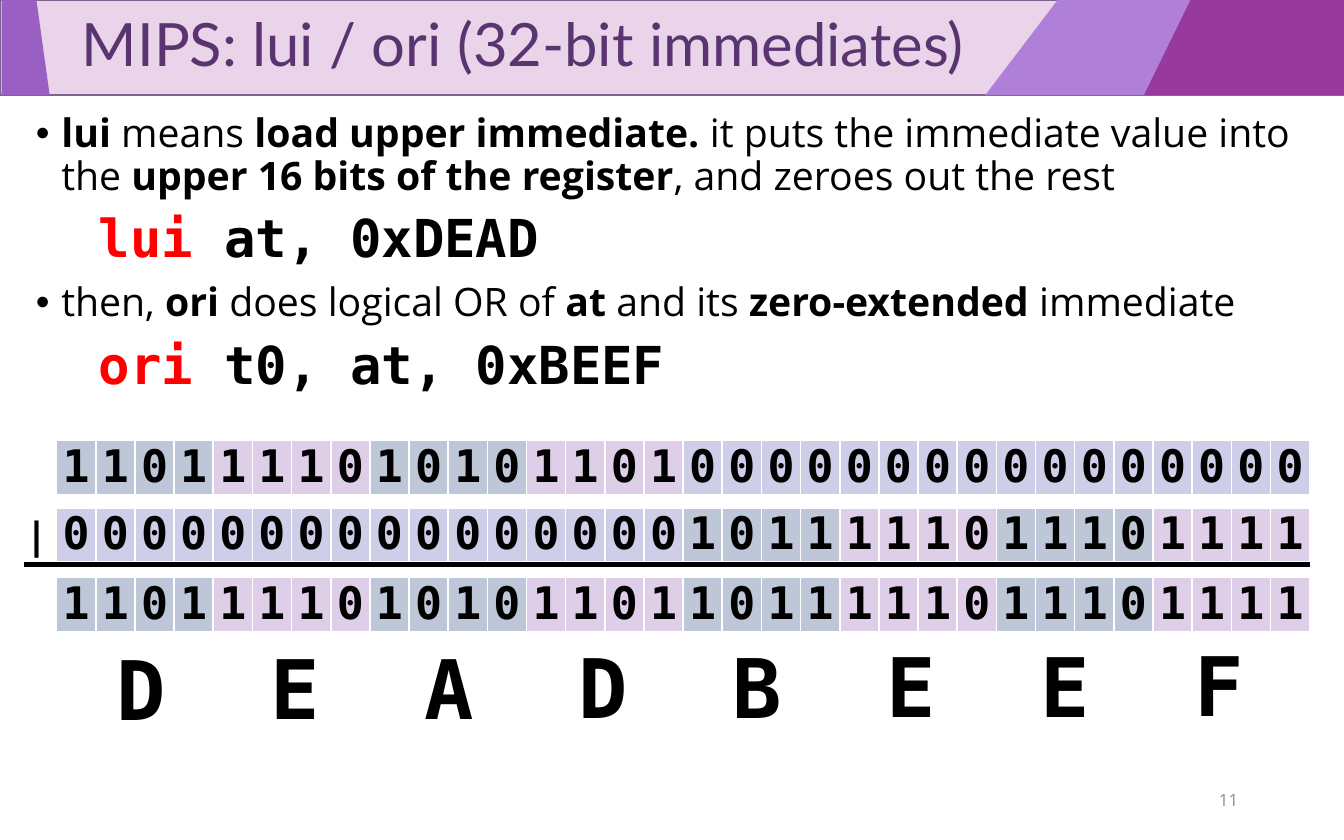
from lxml import etree
from pptx import Presentation
from pptx.dml.color import RGBColor
from pptx.enum.shapes import MSO_CONNECTOR, MSO_SHAPE
from pptx.enum.text import MSO_ANCHOR, MSO_AUTO_SIZE, PP_ALIGN
from pptx.oxml.ns import qn
from pptx.util import Cm, Pt

RECTANGLE = MSO_SHAPE.RECTANGLE
STRAIGHT = MSO_CONNECTOR.STRAIGHT
TOP, MIDDLE = MSO_ANCHOR.TOP, MSO_ANCHOR.MIDDLE
GROW = MSO_AUTO_SIZE.SHAPE_TO_FIT_TEXT
LEFT, CENTER, RIGHT = PP_ALIGN.LEFT, PP_ALIGN.CENTER, PP_ALIGN.RIGHT

BLACK = RGBColor(0x00, 0x00, 0x00)
RED = RGBColor(0xFF, 0x00, 0x00)
GREY = RGBColor(0x8C, 0x8C, 0x8C)
TITLE_COLOR = RGBColor(0x5A, 0x34, 0x71)
BANNER = RGBColor(0xE9, 0xD4, 0xE9)
BANNER_EDGE = RGBColor(0x80, 0x62, 0x92)
LILAC = RGBColor(0xB0, 0x7F, 0xD8)
VIOLET = RGBColor(0x99, 0x5F, 0xC2)
MAGENTA = RGBColor(0x98, 0x39, 0x9D)
NIBBLE_FILLS = (RGBColor(0xBD, 0xC7, 0xD7), RGBColor(0xDE, 0xCE, 0xE8))
ZERO_FILL = RGBColor(0xCF, 0xCE, 0xE9)

MONO, SANS, TITLE_FONT = "DejaVu Sans Mono", "Open Sans", "Lato"
WIDTH, HEIGHT, BANNER_HEIGHT = 25.4, 15.88, 1.8
BITS_LEFT, BIT_WIDTH, BIT_HEIGHT = 1.07, 0.74, 0.91
UPPER, LOWER = 0xDEAD, 0xBEEF


def add_run(p, text, font, size, color=BLACK, bold=False):
    """Append a formatted run to a paragraph."""
    r = p.add_run()
    r.text = text
    r.font.name, r.font.size, r.font.bold = font, Pt(size), bold
    r.font.color.rgb = color


def add_frame(s, left, top, width, height, anchor=TOP, wrap=True):
    """Add a text box and return its text frame."""
    tf = s.shapes.add_textbox(Cm(left), Cm(top), Cm(width), Cm(height)).text_frame
    tf.word_wrap = wrap
    tf.vertical_anchor = anchor
    if not wrap:
        tf.auto_size = GROW
    return tf


def set_indent(p, margin, bullet=False):
    """Set the left margin of a paragraph, with a hanging bullet if asked."""
    ppr = p._p.get_or_add_pPr()
    ppr.set("marL", str(Cm(margin)))
    if bullet:
        ppr.set("indent", str(-Cm(margin)))
        etree.SubElement(ppr, qn("a:buFont")).set("typeface", "Arial")
        etree.SubElement(ppr, qn("a:buChar")).set("char", "•")


def add_stripe(s, points, color):
    """Add a slanted banner stripe through the given points."""
    corners = [(Cm(x), Cm(y)) for x, y in points]
    builder = s.shapes.build_freeform(*corners[0])
    builder.add_line_segments(corners[1:])
    sp = builder.convert_to_shape()
    sp.shadow.inherit = False
    sp.fill.solid()
    sp.fill.fore_color.rgb = color
    sp.line.fill.background()


def add_banner(s):
    """Add the title banner with its stripes and title."""
    sp = s.shapes.add_shape(RECTANGLE, 0, 0, Cm(WIDTH), Cm(BANNER_HEIGHT))
    sp.shadow.inherit = False
    sp.fill.solid()
    sp.fill.fore_color.rgb = BANNER
    sp.line.color.rgb = BANNER_EDGE
    sp.line.width = Pt(1)
    for top_left, top_right, low_right, low_left, color in (
            (19.99, WIDTH, WIDTH, 18.62, LILAC),
            (0.03, 0.69, 0.94, 0.03, VIOLET),
            (22.5, WIDTH, WIDTH, 21.62, MAGENTA)):
        add_stripe(s, [(top_left, 0), (top_right, 0), (low_right, BANNER_HEIGHT),
                       (low_left, BANNER_HEIGHT)], color)
    p = add_frame(s, 0.03, 0, WIDTH, BANNER_HEIGHT, MIDDLE).paragraphs[0]
    p.line_spacing = 0.9
    set_indent(p, 1.27)
    p.alignment = LEFT
    add_run(p, "MIPS: lui / ori (32-bit immediates)", TITLE_FONT, 32, TITLE_COLOR)


def add_paragraph(tf):
    """Return a new body paragraph, reusing the empty first one."""
    first = tf.paragraphs[0]
    p = tf.add_paragraph() if first.runs else first
    p.line_spacing = 0.9
    p.space_before = Pt(7.5)
    return p


def add_bullet(tf, *parts):
    """Add a bullet whose parts alternate between plain and bold."""
    p = add_paragraph(tf)
    set_indent(p, 0.48, bullet=True)
    for i, text in enumerate(parts):
        if text:
            add_run(p, text, SANS, 21, bold=i % 2 == 1)


def add_code(tf, opcode, operands):
    """Add a line of assembly with a red opcode."""
    p = add_paragraph(tf)
    set_indent(p, 1.19)
    add_run(p, opcode + " ", MONO, 28, RED, True)
    add_run(p, operands, MONO, 28, bold=True)


def set_borders(cell):
    """Give a cell thin white borders."""
    tcpr = cell._tc.get_or_add_tcPr()
    for i, side in enumerate(("lnL", "lnR", "lnT", "lnB")):
        ln = etree.Element(qn("a:" + side), w=str(Pt(1)))
        fill = etree.SubElement(ln, qn("a:solidFill"))
        etree.SubElement(fill, qn("a:srgbClr")).set("val", "FFFFFF")
        tcpr.insert(i, ln)


def add_byte(s, bits, left, top, fills):
    """Add a table of eight bits, with one fill per nibble."""
    table = s.shapes.add_table(1, 8, Cm(left), Cm(top), Cm(8 * BIT_WIDTH),
                               Cm(BIT_HEIGHT)).table
    table.first_row = table.horz_banding = False
    for i, bit in enumerate(bits):
        cell = table.cell(0, i)
        cell.margin_left = cell.margin_right = cell.margin_top = cell.margin_bottom = 0
        cell.fill.solid()
        cell.fill.fore_color.rgb = fills[i // 4]
        set_borders(cell)
        p = cell.text_frame.paragraphs[0]
        p.alignment = CENTER
        add_run(p, bit, MONO, 24, bold=True)


def add_word(s, value, top):
    """Add a 32-bit word as four byte tables, shading its empty bytes."""
    bits = f"{value:032b}"
    for i in range(4):
        byte = bits[8 * i:8 * i + 8]
        fills = NIBBLE_FILLS if "1" in byte else (ZERO_FILL, ZERO_FILL)
        add_byte(s, byte, BITS_LEFT + 8 * BIT_WIDTH * i, top, fills)


def add_rule(s, left, right, y):
    """Add the thick line above the result."""
    line = s.shapes.add_connector(STRAIGHT, Cm(left), Cm(y), Cm(right), Cm(y))
    line.line.color.rgb = BLACK
    line.line.width = Pt(3)
    etree.SubElement(line._element.spPr, qn("a:effectLst"))


def add_symbol(s, text, left, top, width, height, size):
    """Add a bold monospaced symbol."""
    p = add_frame(s, left, top, width, height, wrap=False).paragraphs[0]
    add_run(p, text, MONO, size, bold=True)


def main():
    """Build the slide and save it."""
    prs = Presentation()
    prs.slide_width, prs.slide_height = Cm(WIDTH), Cm(HEIGHT)
    s = prs.slides.add_slide(prs.slide_layouts[6])
    add_banner(s)

    tf = add_frame(s, 0.43, 2.03, 24.33, 5.79)
    add_bullet(tf, "", "lui", " means ", "load upper immediate.",
               " it puts the immediate value into the ",
               "upper 16 bits of the register", ", and zeroes out the rest")
    add_code(tf, "lui", f"at, 0x{UPPER:X}")
    add_bullet(tf, "then, ", "ori", " does logical OR of ", "at", " and its ",
               "zero-extended ", "immediate")
    add_code(tf, "ori", f"t0, at, 0x{LOWER:X}")

    p = add_frame(s, 17.93, 14.71, 5.72, 0.84, MIDDLE).paragraphs[0]
    p.alignment = RIGHT
    add_run(p, "11", SANS, 9, GREY)

    result = UPPER << 16 | LOWER
    for value, top in ((UPPER << 16, 8.33), (LOWER, 9.6), (result, 10.92)):
        add_word(s, value, top)
    add_symbol(s, "|", 0.23, 9.55, 0.91, 1.12, 20)
    add_rule(s, 0.46, 24.76, 10.67)
    for i, digit in enumerate(f"{result:X}"):
        add_symbol(s, digit, 1.96 + 2.91 * i, 11.94 - 0.01 * i, 1.37, 2.13, 44)

    prs.save("out.pptx")


if __name__ == "__main__":
    main()
